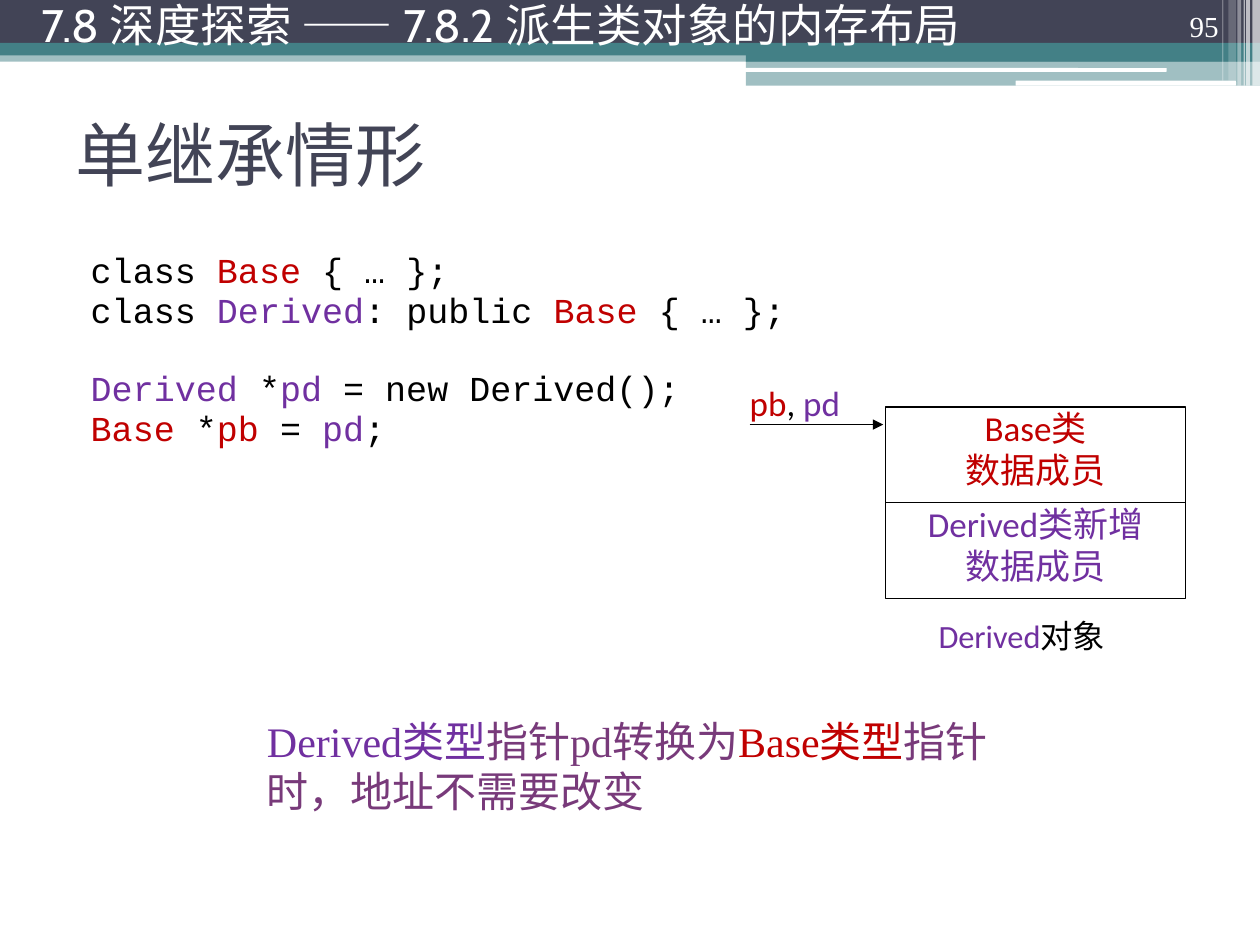
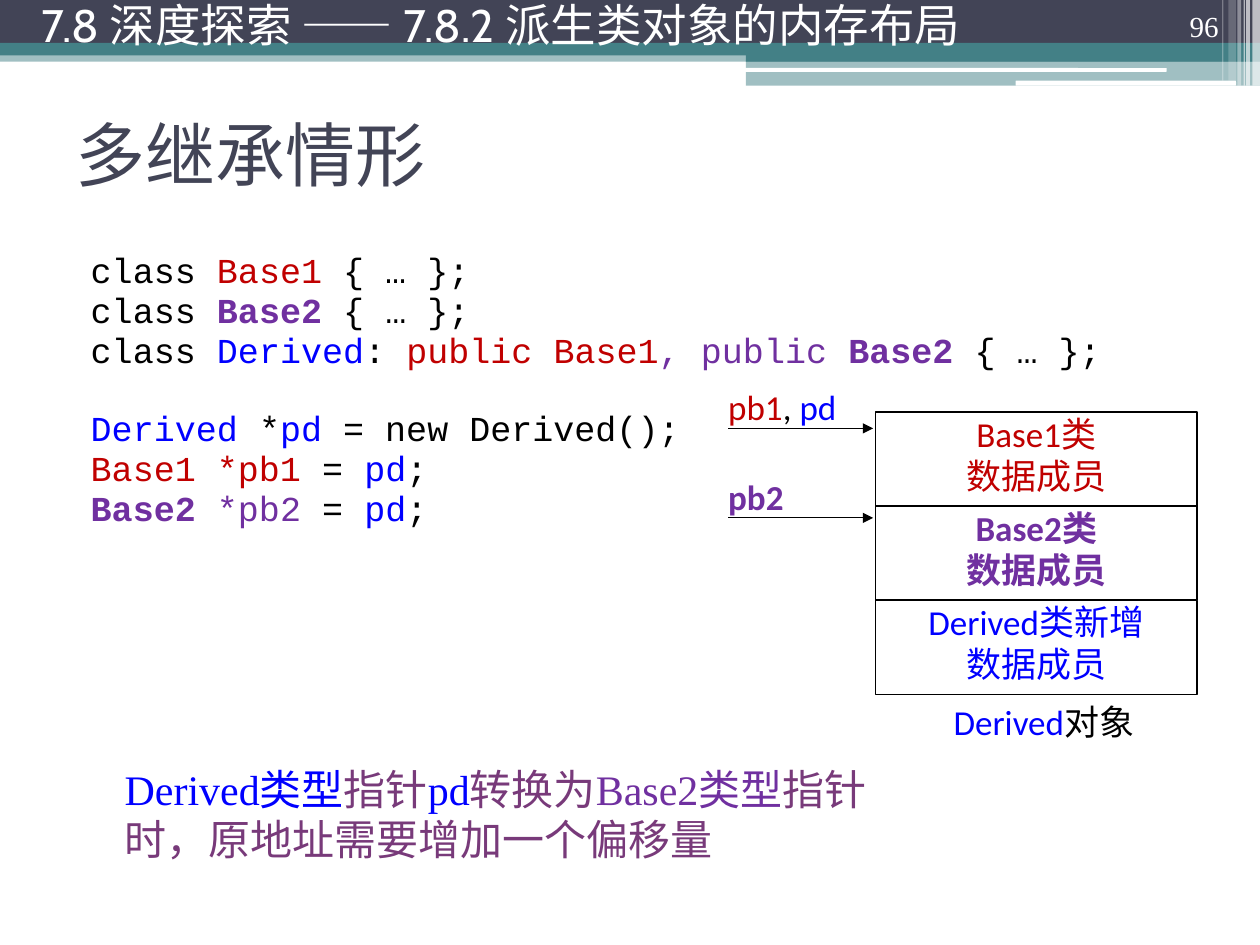
from pptx import Presentation
from pptx.dml.color import RGBColor
from pptx.enum.shapes import MSO_CONNECTOR, MSO_SHAPE
from pptx.enum.text import MSO_ANCHOR, MSO_AUTO_SIZE, PP_ALIGN
from pptx.oxml.ns import qn
from pptx.util import Inches, Pt
from lxml import etree

RECTANGLE, ROUNDED = MSO_SHAPE.RECTANGLE, MSO_SHAPE.ROUNDED_RECTANGLE
STRAIGHT = MSO_CONNECTOR.STRAIGHT
TOP, MIDDLE, BOTTOM = MSO_ANCHOR.TOP, MSO_ANCHOR.MIDDLE, MSO_ANCHOR.BOTTOM
LEFT, CENTER, RIGHT = PP_ALIGN.LEFT, PP_ALIGN.CENTER, PP_ALIGN.RIGHT
FIT_SHAPE, NO_FIT = MSO_AUTO_SIZE.SHAPE_TO_FIT_TEXT, MSO_AUTO_SIZE.NONE

NAVY, TEAL, WHITE, BLACK = "424456", "438086", "FFFFFF", "000000"
RED, PURPLE, BLUE, PLUM = "C00000", "7030A0", "0000FF", "783A7A"
HEADING_FONT, LABEL_FONT = "Cabin", "Calibri"
CODE_FONT, NOTE_FONT = "Courier New", "Times New Roman"
HEADER = "7.8 深度探索 —— 7.8.2 派生类对象的内存布局"
CODE_SIZE, CODE_LINE = 20, 21.5

BANDS = [
    (0, 0.4, 10, 0.09, TEAL, 50),
    (0, 0, 10, 0.34, NAVY, 100),
    (0, 0.34, 10, 0.1, TEAL, 100),
    (5.92, 0.39, 4.08, 0.1, TEAL, 100),
    (5.92, 0.48, 4.08, 0.2, TEAL, 50),
]
RULES = [(5.91, 0.54, 3.35, 0.03, WHITE, 100), (8.06, 0.64, 1.75, 0.04, WHITE, 100)]
STRIPES = [
    (9.94, 0, 0.06, 0.68, WHITE, 65),
    (9.89, 0, 0.03, 0.68, WHITE, 65),
    (9.87, 0, 0.01, 0.68, WHITE, 60),
    (9.82, 0, 0.03, 0.68, WHITE, 40),
    (9.75, 0, 0.06, 0.64, WHITE, 20),
    (9.7, 0, 0.01, 0.64, WHITE, 30),
]


def colour(value):
    """Turn a hex string into a colour."""
    return RGBColor.from_string(value)


def add_runs(paragraph, runs, font, size):
    """Append (text, colour, optional bold) runs to a paragraph."""
    for text, value, *bold in runs:
        run = paragraph.add_run()
        run.text = text
        run.font.name = font
        run.font.size = Pt(size)
        run.font.bold = bool(bold and bold[0])
        run.font.color.rgb = colour(value)


def fill_frame(frame, lines, font, size, align=LEFT, anchor=TOP, spacing=1.0):
    """Write lines of runs into a text frame and return its paragraphs."""
    frame.vertical_anchor = anchor
    paragraphs = []
    for index, runs in enumerate(lines):
        paragraph = frame.add_paragraph() if index else frame.paragraphs[0]
        paragraph.alignment = align
        paragraph.line_spacing = spacing
        paragraph.space_before = Pt(0)
        add_runs(paragraph, runs, font, size)
        paragraphs.append(paragraph)
    return paragraphs


def clear_margins(frame):
    """Remove the inner margins of a text frame."""
    frame.margin_left = frame.margin_right = frame.margin_top = frame.margin_bottom = 0


def add_text(slide, box, lines, font, size, padded=True, **style):
    """Add a wrapping text box and return its frame."""
    frame = slide.shapes.add_textbox(*map(Inches, box)).text_frame
    frame.word_wrap = True
    if not padded:
        clear_margins(frame)
    fill_frame(frame, lines, font, size, **style)
    return frame


def place(shape, box):
    """Move a placeholder to a box."""
    shape.left, shape.top, shape.width, shape.height = map(Inches, box)


def add_band(slide, kind, band):
    """Add one borderless band, translucent when its opacity is below 100."""
    *box, value, opacity = band
    shape = slide.shapes.add_shape(kind, *map(Inches, box))
    shape.shadow.inherit = False
    shape.line.fill.background()
    shape.fill.solid()
    shape.fill.fore_color.rgb = colour(value)
    if opacity < 100:
        tint = next(shape.element.iter(qn("a:srgbClr")))
        etree.SubElement(tint, qn("a:alpha")).set("val", str(opacity * 1000))
    return shape


def move_bands_to_layout(slide):
    """Draw the shared bands and keep them at the back of the slide layout."""
    groups = ((RECTANGLE, BANDS), (ROUNDED, RULES), (RECTANGLE, STRIPES))
    shapes = [add_band(slide, kind, band) for kind, bands in groups for band in bands]
    tree = slide.slide_layout.shapes.element
    for index, shape in enumerate(shapes):
        tree.insert(2 + index, shape.element)


def add_heading(slide, number, title):
    """Fill the page number, the section header and the title."""
    add_text(slide, (8.94, 0, 0.83, 0.4), [[(str(number), WHITE)]], NOTE_FONT, 16.6,
             align=RIGHT, anchor=BOTTOM, spacing=0.9)
    add_text(slide, (0.23, 0, 9.57, 0.47), [[(HEADER, WHITE)]], HEADING_FONT, 26,
             anchor=MIDDLE, spacing=0.8)
    place(slide.shapes.title, (0.5, 0.63, 9, 1.17))
    fill_frame(slide.shapes.title.text_frame, [[(title, NAVY)]], HEADING_FONT, 40, anchor=MIDDLE)


def add_code(slide, declarations, statements):
    """Fill the body with declarations, then statements one line further down."""
    body = slide.placeholders[1]
    place(body, (0.5, 1.95, 9, 5.24))
    body.text_frame.auto_size = NO_FIT
    paragraphs = fill_frame(body.text_frame, declarations + statements,
                            CODE_FONT, CODE_SIZE, spacing=0.95)
    paragraphs[len(declarations)].space_before = Pt(CODE_LINE)
    for paragraph in paragraphs:
        properties = paragraph._p.get_or_add_pPr()
        properties.set("marL", str(Inches(0.4)))
        properties.set("indent", str(Inches(-0.28)))
        etree.SubElement(properties, qn("a:buNone"))


def add_cell(slide, box, name, value, bold=False):
    """Add one outlined block of object memory."""
    shape = slide.shapes.add_shape(RECTANGLE, *map(Inches, box))
    shape.shadow.inherit = False
    shape.fill.background()
    shape.line.color.rgb = colour(BLACK)
    shape.line.width = Pt(0.75)
    clear_margins(shape.text_frame)
    lines = [[(text, value, bold)] for text in (name, "数据成员")]
    fill_frame(shape.text_frame, lines, LABEL_FONT, 20, align=CENTER)


def add_pointer(slide, left, top, length, runs):
    """Add a labelled arrow that points right."""
    arrow = slide.shapes.add_connector(
        STRAIGHT, Inches(left), Inches(top), Inches(left + length), Inches(top))
    arrow.line.color.rgb = colour(BLACK)
    arrow.line.width = Pt(0.75)
    etree.SubElement(arrow.line._get_or_add_ln(), qn("a:tailEnd")).set("type", "triangle")
    etree.SubElement(arrow.element.spPr, qn("a:effectLst"))
    add_text(slide, (left, top - 0.34, 1, 0.46), [runs], LABEL_FONT, 20, padded=False)


def add_memory(slide, box, cells, pointers, arrow_length, caption_box, caption, caption_size):
    """Stack the memory cells in a box, with pointers at its left and a caption below."""
    left, top, width, height = box
    step = height / len(cells)
    for index, cell in enumerate(cells):
        add_cell(slide, (left, top + index * step, width, step), *cell)
    for drop, runs in pointers:
        add_pointer(slide, left - 0.02 - arrow_length, top + drop, arrow_length, runs)
    shift, gap, caption_width = caption_box
    add_text(slide, (left + shift, top + height + gap, caption_width, 0.4), [caption],
             LABEL_FONT, caption_size, padded=False, align=CENTER, spacing=caption_size / 20)


def add_note(slide, box, lines):
    """Add the conclusion below the diagram."""
    frame = add_text(slide, box, lines, NOTE_FONT, 24)
    frame.word_wrap = False
    frame.auto_size = FIT_SHAPE


def build_single(slide):
    """Build the slide on single inheritance."""
    add_heading(slide, 95, "单继承情形")
    add_code(slide, [
        [("class ", BLACK), ("Base", RED), (" { … };", BLACK)],
        [("class ", BLACK), ("Derived", PURPLE), (": public ", BLACK), ("Base", RED),
         (" { … };", BLACK)],
    ], [
        [("Derived", PURPLE), (" *", BLACK), ("pd", PURPLE), (" = new Derived();", BLACK)],
        [("Base", RED), (" *", BLACK), ("pb", RED), (" = ", BLACK), ("pd", PURPLE),
         (";", BLACK)],
    ])
    add_memory(slide, (7.03, 3.23, 2.38, 1.52),
               [("Base类", RED), ("Derived类新增", PURPLE)],
               [(0.14, [("pb", RED), (", ", BLACK), ("pd", PURPLE)])], 1.06,
               (0.34, 0.17, 1.48), [("Derived", PURPLE), ("对象", BLACK)], 18.5)
    add_note(slide, (2.02, 5.63, 6.32, 0.9), [
        [("Derived类型", PURPLE), ("指针pd转换为", PLUM), ("Base类型", RED), ("指针", PLUM)],
        [("时，地址不需要改变", PLUM)],
    ])


def build_multiple(slide):
    """Build the slide on multiple inheritance."""
    add_heading(slide, 96, "多继承情形")
    add_code(slide, [
        [("class ", BLACK), ("Base1", RED), (" { … };", BLACK)],
        [("class ", BLACK), ("Base2 ", PURPLE, True), ("{ … };", BLACK)],
        [("class ", BLACK), ("Derived", BLUE), (": ", BLACK), ("public Base1", RED),
         (", public ", PURPLE), ("Base2 ", PURPLE, True), ("{ … };", BLACK)],
    ], [
        [("Derived", BLUE), (" *", BLACK), ("pd", BLUE), (" = new Derived();", BLACK)],
        [("Base1 *pb1 ", RED), ("= ", BLACK), ("pd", BLUE), (";", BLACK)],
        [("Base2", PURPLE, True), (" *pb2 ", PURPLE), ("= ", BLACK), ("pd", BLUE),
         (";", BLACK)],
    ])
    add_memory(slide, (6.95, 3.27, 2.55, 2.24),
               [("Base1类", RED), ("Base2类", PURPLE, True), ("Derived类新增", BLUE)],
               [(0.13, [("pb1", RED), (", ", BLACK), ("pd", BLUE)]),
                (0.84, [("pb2", PURPLE, True)])], 1.15,
               (0.54, 0.05, 1.59), [("Derived", BLUE), ("对象", BLACK)], 20)
    add_note(slide, (0.89, 6.01, 6.49, 0.9), [
        [("Derived类型", BLUE), ("指针", PLUM), ("pd", BLUE), ("转换为", PLUM),
         ("Base2类型", PURPLE), ("指针", PLUM)],
        [("时，原地址需要增加一个偏移量", PLUM)],
    ])


def main():
    """Build and save the presentation."""
    presentation = Presentation()
    presentation.slide_width, presentation.slide_height = Inches(10), Inches(7.5)
    layout = presentation.slide_layouts[1]
    slides = [presentation.slides.add_slide(layout) for _ in range(2)]
    move_bands_to_layout(slides[0])
    build_single(slides[0])
    build_multiple(slides[1])
    presentation.save("out.pptx")


if __name__ == "__main__":
    main()
